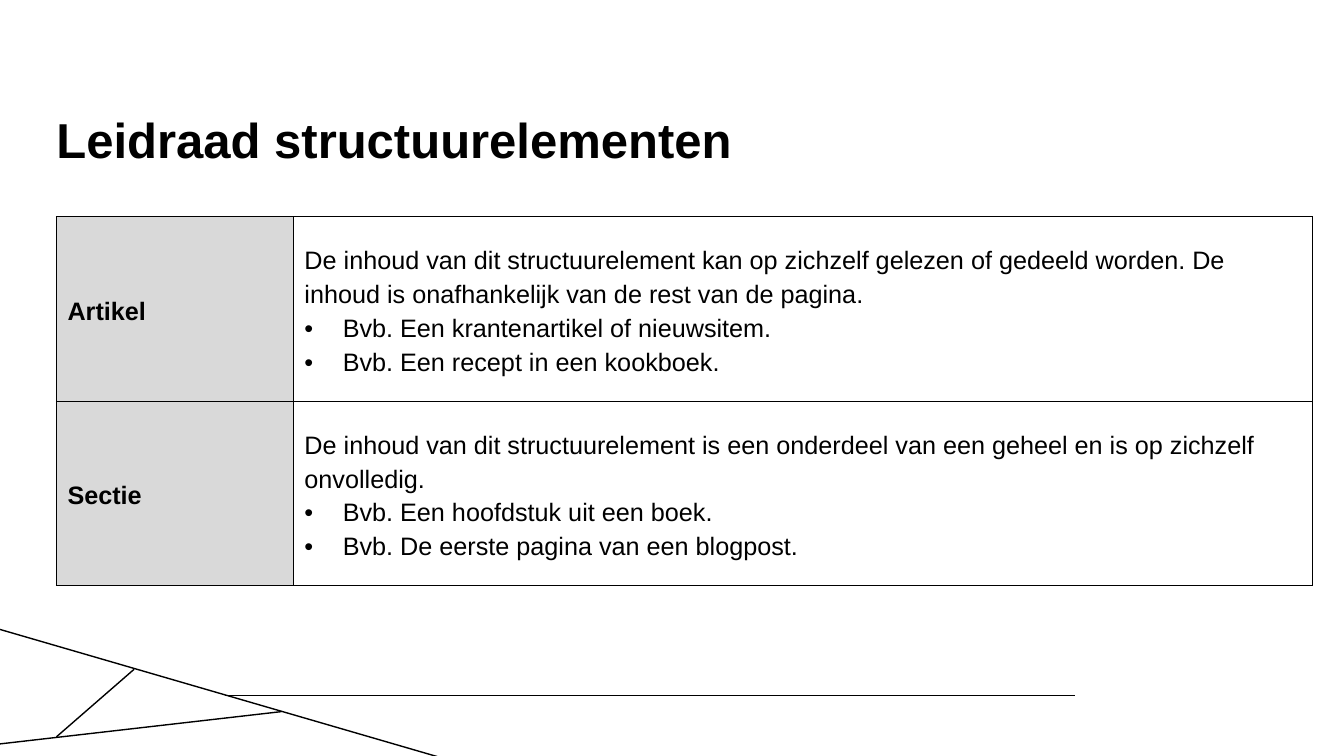
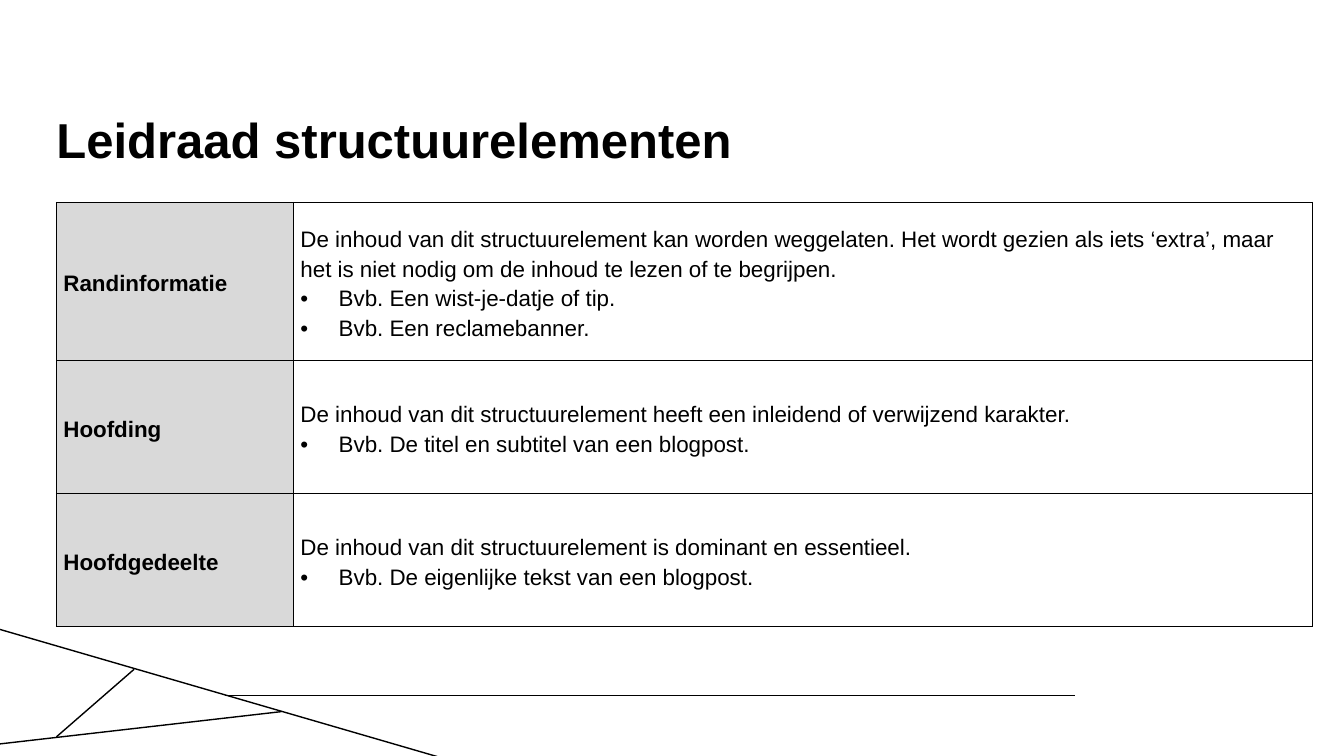
from lxml import etree
from pptx import Presentation
from pptx.dml.color import RGBColor
from pptx.enum.shapes import MSO_CONNECTOR
from pptx.enum.text import MSO_ANCHOR
from pptx.oxml.ns import qn
from pptx.util import Pt

PX = 9144  # 100 px to the inch
STRAIGHT = MSO_CONNECTOR.STRAIGHT
TOP, MIDDLE = MSO_ANCHOR.TOP, MSO_ANCHOR.MIDDLE
FONT, INK, GREY = "Arial", "000000", "D9D9D9"
LEFT, INDENT = 56, 38
COLS = (235, 1011)
RULES = (
    (223, 690, 1066, 690),
    (0, 738, 279, 706),
    (-5, 623, 442, 753),
    (133, 664, 56, 731),
)
TITLE = "Leidraad structuurelementen"

# Per slide: top, row heights, text size, side inset, rows of (name, text, examples)
TABLES = (
    (215, (183, 183), 18, 11, (
        ("Artikel",
         "De inhoud van dit structuurelement kan op zichzelf gelezen of gedeeld "
         "worden. De inhoud is onafhankelijk van de rest van de pagina.",
         ("Bvb. Een krantenartikel of nieuwsitem.",
          "Bvb. Een recept in een kookboek.")),
        ("Sectie",
         "De inhoud van dit structuurelement is een onderdeel van een geheel en "
         "is op zichzelf onvolledig.",
         ("Bvb. Een hoofdstuk uit een boek.",
          "Bvb. De eerste pagina van een blogpost.")),
    )),
    (201, (157, 132, 132), 16, 7, (
        ("Randinformatie",
         "De inhoud van dit structuurelement kan worden weggelaten. Het wordt "
         "gezien als iets ‘extra’, maar het is niet nodig om de inhoud te lezen "
         "of te begrijpen.",
         ("Bvb. Een wist-je-datje of tip.",
          "Bvb. Een reclamebanner.")),
        ("Hoofding",
         "De inhoud van dit structuurelement heeft een inleidend of verwijzend "
         "karakter.",
         ("Bvb. De titel en subtitel van een blogpost.",)),
        ("Hoofdgedeelte",
         "De inhoud van dit structuurelement is dominant en essentieel.",
         ("Bvb. De eigenlijke tekst van een blogpost.",)),
    )),
)


def px(*sizes):
    return [size * PX for size in sizes]


def rgb(code):
    return RGBColor.from_string(code)


def bullet(para):
    props = para._p.get_or_add_pPr()
    props.set("marL", str(INDENT * PX))
    props.set("indent", str(-INDENT * PX))
    etree.SubElement(props, qn("a:buFont")).set("typeface", FONT)
    etree.SubElement(props, qn("a:buChar")).set("char", "•")


def border(cell):
    props = cell._tc.get_or_add_tcPr()
    for side in ("lnL", "lnR", "lnT", "lnB"):
        line = etree.SubElement(props, qn(f"a:{side}"), w=str(Pt(1)))
        fill = etree.SubElement(line, qn("a:solidFill"))
        etree.SubElement(fill, qn("a:srgbClr")).set("val", INK)


class Deck:
    def __init__(self):
        self.prs = Presentation()
        self.prs.slide_width, self.prs.slide_height = px(1333, 750)

    def page(self, title):
        """Start a slide with the shared lines and title."""
        self.slide = self.prs.slides.add_slide(self.prs.slide_layouts[6])
        for ends in RULES:
            self.rule(*ends)
        self.title(title)

    def rule(self, *ends):
        line = self.slide.shapes.add_connector(STRAIGHT, *px(*ends))
        line.line.color.rgb = rgb(INK)
        line.line.width = Pt(1)
        etree.SubElement(line._element.spPr, qn("a:effectLst"))

    def style(self, para, size, bold, space):
        para.line_spacing = space
        for run in para.runs:
            font = run.font
            font.name, font.size, font.bold = FONT, Pt(size), bold
            font.color.rgb = rgb(INK)

    def title(self, text):
        frame = self.slide.shapes.add_textbox(*px(LEFT, 115, 1220, 107)).text_frame
        frame.word_wrap = True
        frame.vertical_anchor = TOP
        frame.margin_left = frame.margin_right = 0
        frame.margin_top = frame.margin_bottom = 0
        frame.text = text
        self.style(frame.paragraphs[0], 35, True, 0.9)

    def cell(self, cell, text, size, inset, bold=False):
        cell.vertical_anchor = MIDDLE
        cell.margin_left = cell.margin_right = inset * PX
        cell.margin_top = cell.margin_bottom = 0
        border(cell)
        cell.text_frame.text = text
        for para in cell.text_frame.paragraphs:
            self.style(para, size, bold, 1.2)

    def table(self, top, heights, size, inset, rows):
        """Draw names in a grey column beside their text and examples."""
        box = px(LEFT, top, sum(COLS), sum(heights))
        table = self.slide.shapes.add_table(len(rows), len(COLS), *box).table
        table.first_row = table.horz_banding = False
        for col, width in zip(table.columns, px(*COLS)):
            col.width = width
        for row, height, (name, text, samples) in zip(table.rows, px(*heights), rows):
            row.height = height
            head, body = row.cells
            self.cell(head, name, size, inset, True)
            head.text_frame.paragraphs[0].space_after = Pt(11)
            head.fill.solid()
            head.fill.fore_color.rgb = rgb(GREY)
            self.cell(body, "\n".join((text, *samples)), size, inset)
            body.fill.background()
            for para in body.text_frame.paragraphs[1:]:
                bullet(para)


def main():
    deck = Deck()
    for table in TABLES:
        deck.page(TITLE)
        deck.table(*table)
    deck.prs.save("out.pptx")


if __name__ == "__main__":
    main()
